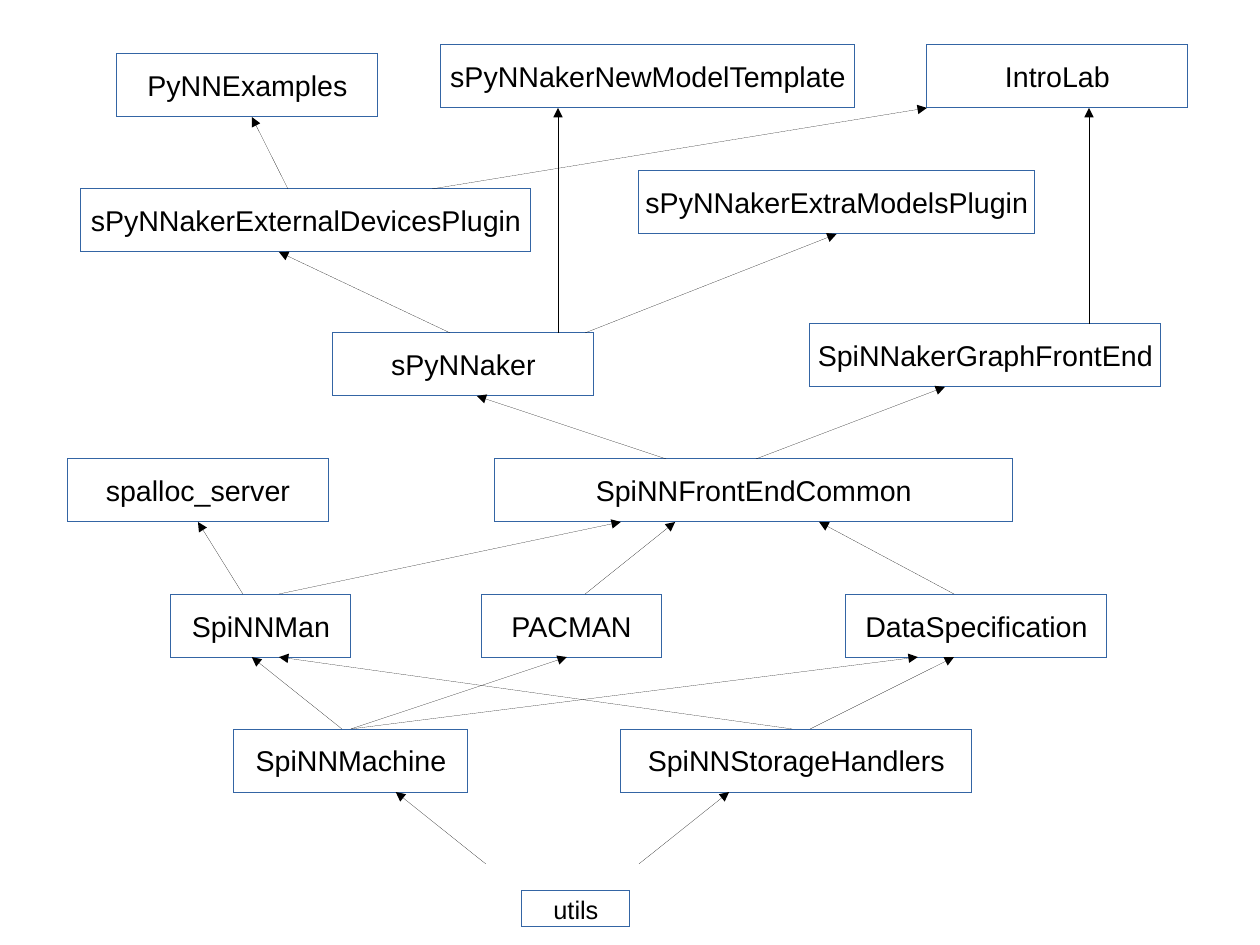
from dataclasses import dataclass

from pptx import Presentation
from pptx.dml.color import RGBColor
from pptx.enum.shapes import MSO_CONNECTOR, MSO_SHAPE
from pptx.enum.text import MSO_ANCHOR, PP_ALIGN
from pptx.oxml.ns import qn
from pptx.util import Pt
from lxml.etree import SubElement


@dataclass(frozen=True)
class Theme:
    font: str = "Arial"
    ink: RGBColor = RGBColor(0x00, 0x00, 0x00)
    paper: RGBColor = RGBColor(0xFF, 0xFF, 0xFF)
    edge: RGBColor = RGBColor(0x34, 0x65, 0xA4)
    hair: float = 0.01
    body: int = 18
    small: int = 16


# name: left, top, width
BOXES = {
    "SpiNNMachine": (147.4, 459.2, 147.4),
    "SpiNNStorageHandlers": (391.1, 459.2, 221.1),
    "PACMAN": (303.3, 374.2, 113.4),
    "SpiNNMan": (107.7, 374.2, 113.4),
    "DataSpecification": (532.9, 374.2, 164.4),
    "SpiNNFrontEndCommon": (311.8, 289.1, 326),
    "SpiNNakerGraphFrontEnd": (510.2, 204, 221.1),
    "sPyNNaker": (209.7, 209.7, 164.4),
    "sPyNNakerExternalDevicesPlugin": (51, 119, 283.5),
    "sPyNNakerExtraModelsPlugin": (402.5, 107.7, 249.4),
    "sPyNNakerNewModelTemplate": (277.8, 28.3, 260.8),
    "spalloc_server": (42.5, 289.1, 164.4),
    "PyNNExamples": (73.7, 34, 164.4),
    "IntroLab": (583.9, 28.3, 164.4),
}
TALL = 39.7
UTILS = (328.8, 561.2, 68, 22.7)
UTILS_GAP = 17

# lower box: (x at its top, upper box, x at the upper box's bottom)
LINKS = {
    "utils": [(306, "SpiNNMachine", 249.3), (402.5, "SpiNNStorageHandlers", 459.3)],
    "SpiNNMachine": [(215.4, "SpiNNMan", 158.6), (221, "PACMAN", 357.1),
                     (221, "DataSpecification", 578.2)],
    "SpiNNStorageHandlers": [(510.4, "DataSpecification", 601),
                             (499, "SpiNNMan", 175.7)],
    "SpiNNMan": [(153, "spalloc_server", 124.7),
                 (175.7, "SpiNNFrontEndCommon", 391.1)],
    "PACMAN": [(368.6, "SpiNNFrontEndCommon", 425.3)],
    "DataSpecification": [(601, "SpiNNFrontEndCommon", 516)],
    "SpiNNFrontEndCommon": [(476.2, "SpiNNakerGraphFrontEnd", 595.3),
                            (419.6, "sPyNNaker", 300.3)],
    "sPyNNaker": [(283.5, "sPyNNakerExternalDevicesPlugin", 175.7),
                  (368.6, "sPyNNakerExtraModelsPlugin", 527),
                  (351.5, "sPyNNakerNewModelTemplate", 351.5)],
    "sPyNNakerExternalDevicesPlugin": [(181.4, "PyNNExamples", 158.6),
                                       (272.2, "IntroLab", 583.9)],
    "SpiNNakerGraphFrontEnd": [(686, "IntroLab", 686)],
}


class Chart:
    def __init__(self, slide, theme):
        self.slide, self.theme = slide, theme

    def box(self, name, left, top, width, height, size):
        look = self.theme
        shape = self.slide.shapes.add_shape(
            MSO_SHAPE.RECTANGLE, Pt(left), Pt(top), Pt(width), Pt(height))
        shape.shadow.inherit = False
        shape.fill.solid()
        shape.fill.fore_color.rgb = look.paper
        shape.line.color.rgb = look.edge
        shape.line.width = Pt(look.hair)
        frame = shape.text_frame
        frame.text = name
        frame.word_wrap = False
        frame.vertical_anchor = MSO_ANCHOR.MIDDLE
        line = frame.paragraphs[0]
        line.alignment = PP_ALIGN.CENTER
        font = line.runs[0].font
        font.name, font.size, font.color.rgb = look.font, Pt(size), look.ink

    def arrow(self, start, end):
        link = self.slide.shapes.add_connector(
            MSO_CONNECTOR.STRAIGHT, *map(Pt, start), *map(Pt, end))
        link.line.color.rgb = self.theme.ink
        link.line.width = Pt(self.theme.hair)
        props = link._element.spPr
        SubElement(props.find(qn("a:ln")), qn("a:tailEnd"), type="triangle")
        SubElement(props, qn("a:effectLst"))


def main():
    deck = Presentation()
    deck.slide_width, deck.slide_height = Pt(793.7), Pt(595.28)
    theme = Theme()
    chart = Chart(deck.slides.add_slide(deck.slide_layouts[6]), theme)

    for name, place in BOXES.items():
        chart.box(name, *place, TALL, theme.body)
    chart.box("utils", *UTILS, theme.small)

    tops = {name: top for name, (_, top, _) in BOXES.items()}
    tops["utils"] = UTILS[1] - UTILS_GAP
    for low, links in LINKS.items():
        for start, high, end in links:
            chart.arrow((start, tops[low]), (end, tops[high] + TALL))

    deck.save("out.pptx")


if __name__ == "__main__":
    main()
